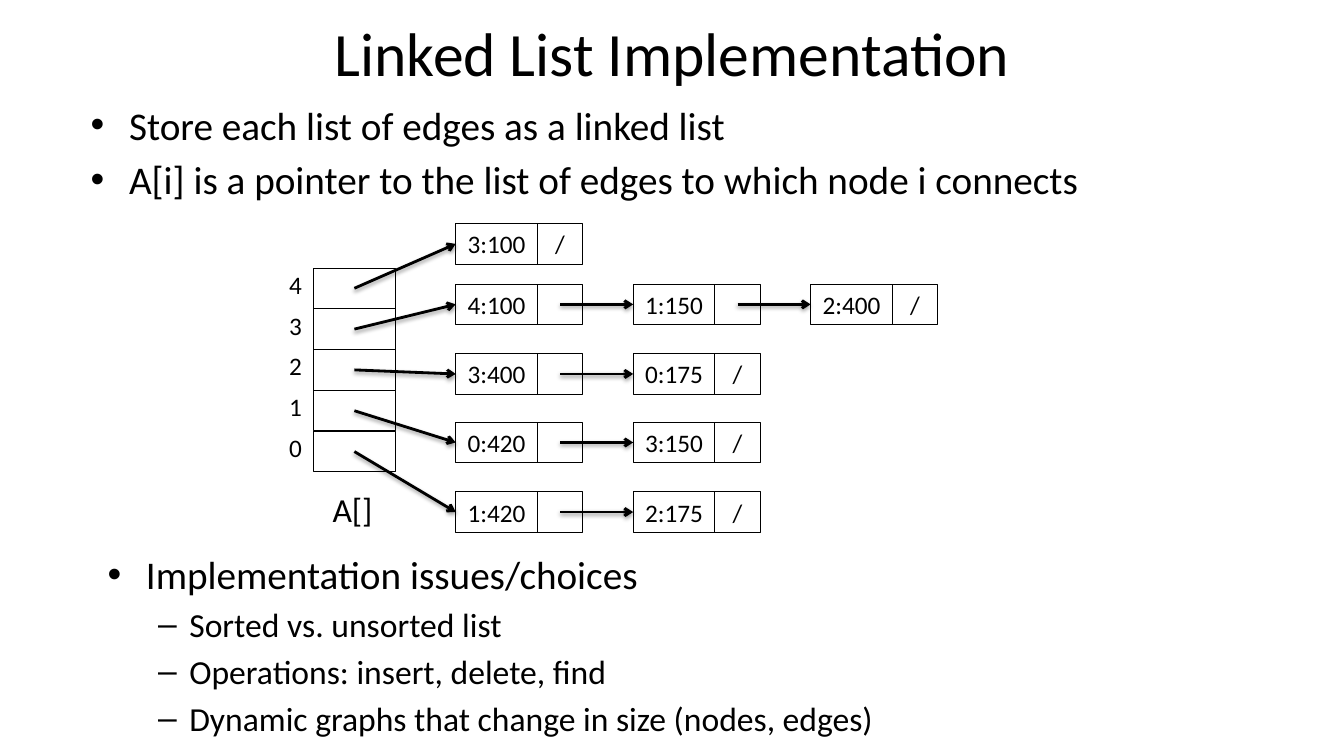
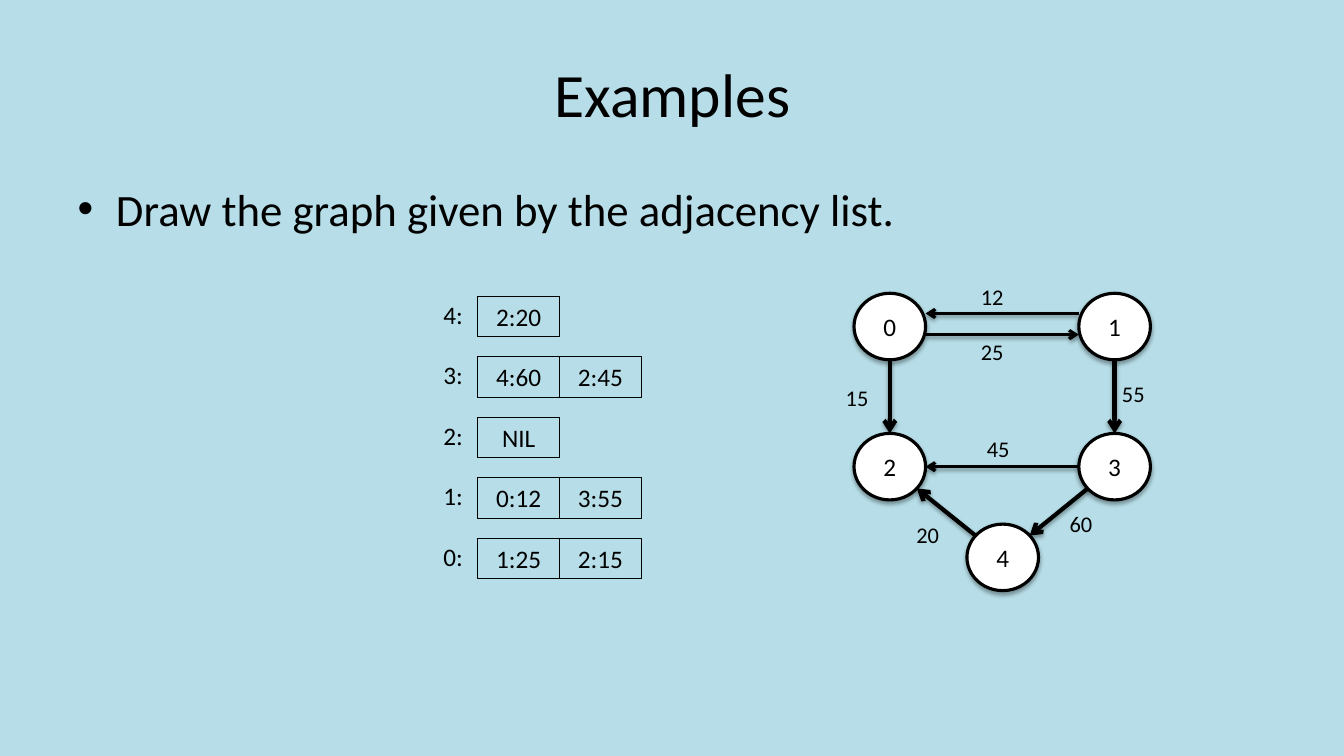
from dataclasses import dataclass
from math import hypot

from lxml.etree import SubElement
from pptx import Presentation
from pptx.dml.color import RGBColor
from pptx.enum.shapes import MSO_CONNECTOR, MSO_SHAPE
from pptx.enum.text import MSO_ANCHOR, MSO_AUTO_SIZE, PP_ALIGN
from pptx.oxml.ns import qn
from pptx.util import Inches, Pt


@dataclass(frozen=True)
class Theme:
    font: str = "Calibri"
    ink: RGBColor = RGBColor(0x00, 0x00, 0x00)
    paper: RGBColor = RGBColor(0xFF, 0xFF, 0xFF)
    exercise: RGBColor = RGBColor(0xB7, 0xDE, 0xE8)
    title_size: int = 44
    large_size: int = 32
    body_size: int = 28
    detail_size: int = 24
    cell_size: int = 18
    weight_size: int = 16
    cell_line: float = 0.75
    pointer_line: float = 2
    node_line: float = 2.25
    edge_line: float = 3


# Bullet character, left margin and hanging indent for each level
BULLETS = (("•", 0.38, 0.38), ("–", 0.81, 0.31))


class Deck:
    def __init__(self, theme):
        self.theme = theme
        self.presentation = Presentation()
        self.presentation.slide_width = Inches(13.33)
        self.presentation.slide_height = Inches(7.5)
        self.slide = None

    def new_slide(self, background):
        layout = self.presentation.slide_layouts[1]
        self.slide = self.presentation.slides.add_slide(layout)
        fill = self.slide.background.fill
        fill.solid()
        fill.fore_color.rgb = background

    def place(self, shape, left, top, width, height):
        shape.left, shape.top = Inches(left), Inches(top)
        shape.width, shape.height = Inches(width), Inches(height)

    def add_text(self, paragraph, text, size, align=PP_ALIGN.LEFT):
        paragraph.alignment = align
        run = paragraph.add_run()
        run.text = text
        run.font.name = self.theme.font
        run.font.size = Pt(size)
        run.font.color.rgb = self.theme.ink

    def title(self, text, *box):
        shape = self.slide.shapes.title
        self.place(shape, *box)
        frame = shape.text_frame
        frame.auto_size = MSO_AUTO_SIZE.NONE
        frame.vertical_anchor = MSO_ANCHOR.MIDDLE
        self.add_text(frame.paragraphs[0], text, self.theme.title_size, PP_ALIGN.CENTER)

    def body(self, items, *box):
        shape = self.slide.placeholders[1]
        self.place(shape, *box)
        self.bullets(shape.text_frame, items)

    def list_box(self, items, *box):
        shape = self.slide.shapes.add_textbox(*map(Inches, box))
        self.bullets(shape.text_frame, items)

    def bullets(self, frame, items):
        """Each item is a level, a text and a type size."""
        frame.word_wrap = True
        frame.auto_size = MSO_AUTO_SIZE.NONE
        for index, (level, text, size) in enumerate(items):
            paragraph = frame.add_paragraph() if index else frame.paragraphs[0]
            character, margin, hanging = BULLETS[level]
            paragraph.level = level
            paragraph.space_before = Pt(size * 0.2)
            self.add_text(paragraph, text, size)
            properties = paragraph._p.get_or_add_pPr()
            properties.set("marL", str(Inches(margin)))
            properties.set("indent", str(-Inches(hanging)))
            SubElement(properties, qn("a:buFont"), typeface="Arial")
            SubElement(properties, qn("a:buChar"), char=character)

    def label(self, text, left, top, width, height, size):
        shape = self.slide.shapes.add_textbox(*map(Inches, (left, top, width, height)))
        shape.text_frame.word_wrap = False
        self.add_text(shape.text_frame.paragraphs[0], text, size)

    def outlined(self, kind, text, box, line_width, anchor):
        shape = self.slide.shapes.add_shape(kind, *map(Inches, box))
        shape.shadow.inherit = False
        shape.fill.background()
        shape.line.color.rgb = self.theme.ink
        shape.line.width = Pt(line_width)
        frame = shape.text_frame
        frame.vertical_anchor = anchor
        if text:
            self.add_text(frame.paragraphs[0], text, self.theme.cell_size,
                          PP_ALIGN.CENTER)
        return shape

    def cell(self, text, left, top, width, height):
        self.outlined(MSO_SHAPE.RECTANGLE, text, (left, top, width, height),
                      self.theme.cell_line, MSO_ANCHOR.TOP)

    def node(self, text, *box):
        shape = self.outlined(MSO_SHAPE.OVAL, text, box, self.theme.node_line,
                              MSO_ANCHOR.MIDDLE)
        shape.fill.solid()
        shape.fill.fore_color.rgb = self.theme.paper
        effects = shape._element.spPr.find(qn("a:effectLst"))
        self.soft_shadow(effects, 1.8, 35)

    def arrow(self, start, end, line_width):
        points = map(Inches, (*start, *end))
        connector = self.slide.shapes.add_connector(MSO_CONNECTOR.STRAIGHT, *points)
        connector.line.color.rgb = self.theme.ink
        connector.line.width = Pt(line_width)
        properties = connector._element.spPr
        SubElement(properties.get_or_add_ln(), qn("a:tailEnd"), type="arrow")
        self.soft_shadow(SubElement(properties, qn("a:effectLst")), 1.6, 38)

    def soft_shadow(self, effects, distance, opacity):
        shadow = SubElement(effects, qn("a:outerShdw"), blurRad=str(Pt(3.1)),
                            dist=str(Pt(distance)), dir="5400000", rotWithShape="0")
        color = SubElement(shadow, qn("a:srgbClr"), val=str(self.theme.ink))
        SubElement(color, qn("a:alpha"), val=str(opacity * 1000))


CELL_WIDTH, CELL_HEIGHT = 0.81, 0.4


def linked_list_slide(deck):
    theme = deck.theme
    deck.new_slide(theme.paper)
    deck.title("Linked List Implementation", 2.17, -0.11, 9, 1.25)
    deck.body([
        (0, "Store each list of edges as a linked list", theme.body_size),
        (0, "A[i] is a pointer to the list of edges to which node i connects",
         theme.body_size),
    ], 0.8, 0.95, 12, 1.43)
    deck.list_box([
        (0, "Implementation issues/choices", theme.body_size),
        (1, "Sorted vs. unsorted list", theme.detail_size),
        (1, "Operations: insert, delete, find", theme.detail_size),
        (1, "Dynamic graphs that change in size (nodes, edges)", theme.detail_size),
    ], 0.97, 5.41, 12, 1.84)

    # Array cells on the left, one linked list for each
    array_left, array_top, array_step = 3.11, 2.66, 0.405
    list_left, list_step, link_width = 4.52, 1.76, 0.45
    lists = [
        (4, 2.22, ["3:100"]),
        (3, 2.82, ["4:100", "1:150", "2:400"]),
        (2, 3.51, ["3:400", "0:175"]),
        (1, 4.19, ["0:420", "3:150"]),
        (0, 4.88, ["1:420", "2:175"]),
    ]
    pointers = []
    for row, (index, top, entries) in enumerate(lists):
        cell_top = array_top + row * array_step
        deck.cell("", array_left, cell_top, CELL_WIDTH, CELL_HEIGHT)
        deck.label(str(index), 2.77, cell_top - 0.04, 0.33, CELL_HEIGHT, theme.cell_size)
        middle = top + CELL_HEIGHT / 2
        start = (array_left + CELL_WIDTH / 2, cell_top + CELL_HEIGHT / 2)
        for column, entry in enumerate(entries):
            left = list_left + column * list_step
            link_left = left + CELL_WIDTH
            link_text = "/" if entry == entries[-1] else ""
            deck.cell(entry, left, top, CELL_WIDTH, CELL_HEIGHT)
            deck.cell(link_text, link_left, top, link_width, CELL_HEIGHT)
            pointers.append((start, (left, middle)))
            start = (link_left + link_width / 2, middle)
    for start, end in pointers:
        deck.arrow(start, end, theme.pointer_line)
    deck.label("A[]", 3.2, 4.8, 0.6, 0.5, theme.detail_size)


def examples_slide(deck):
    theme = deck.theme
    deck.new_slide(theme.exercise)
    deck.title("Examples", 0.67, 0.3, 12, 1.25)
    deck.body([(0, "Draw the graph given by the adjacency list.", theme.large_size)],
              0.67, 1.75, 12, 5.48)

    # Adjacency list
    rows = [("4:", ["2:20"]), ("3:", ["4:60", "2:45"]), ("2:", ["NIL"]),
            ("1:", ["0:12", "3:55"]), ("0:", ["1:25", "2:15"])]
    for row, (name, entries) in enumerate(rows):
        top = 2.94 + row * 0.6
        deck.label(name, 4.3, top - 0.02, 0.4, CELL_HEIGHT, theme.cell_size)
        for column, entry in enumerate(entries):
            deck.cell(entry, 4.74 + column * CELL_WIDTH, top, CELL_WIDTH, CELL_HEIGHT)

    # Graph: node corners, then edges with shift, weight and label corner
    width, height = 0.71, 0.66
    nodes = {0: (8.47, 2.91), 1: (10.7, 2.91), 2: (8.47, 4.3),
             3: (10.7, 4.3), 4: (9.59, 5.2)}
    edges = [
        (1, 0, theme.node_line, -0.13, "12", 9.63, 2.76),
        (0, 1, theme.node_line, 0.08, "25", 9.63, 3.31),
        (0, 2, theme.edge_line, 0, "15", 8.29, 3.76),
        (1, 3, theme.edge_line, 0, "55", 11.03, 3.72),
        (3, 2, theme.node_line, 0, "45", 9.69, 4.27),
        (3, 4, theme.edge_line, 0, "60", 10.51, 5.01),
        (4, 2, theme.edge_line, 0, "20", 8.99, 5.12),
    ]

    def rim_point(node, other, shift):
        """Point on the rim of a node that faces another node."""
        (left, top), (other_left, other_top) = nodes[node], nodes[other]
        across, down = other_left - left, other_top - top
        reach = 1 / hypot(across / (width / 2), down / (height / 2))
        return (left + width / 2 + across * reach,
                top + height / 2 + down * reach + shift)

    for source, target, line_width, shift, *_ in edges:
        deck.arrow(rim_point(source, target, shift), rim_point(target, source, shift),
                   line_width)
    for name, (left, top) in nodes.items():
        deck.node(str(name), left, top, width, height)
    for *_, weight, left, top in edges:
        deck.label(weight, left, top, 0.43, 0.37, theme.weight_size)


def main():
    deck = Deck(Theme())
    linked_list_slide(deck)
    examples_slide(deck)
    deck.presentation.save("out.pptx")


if __name__ == "__main__":
    main()
